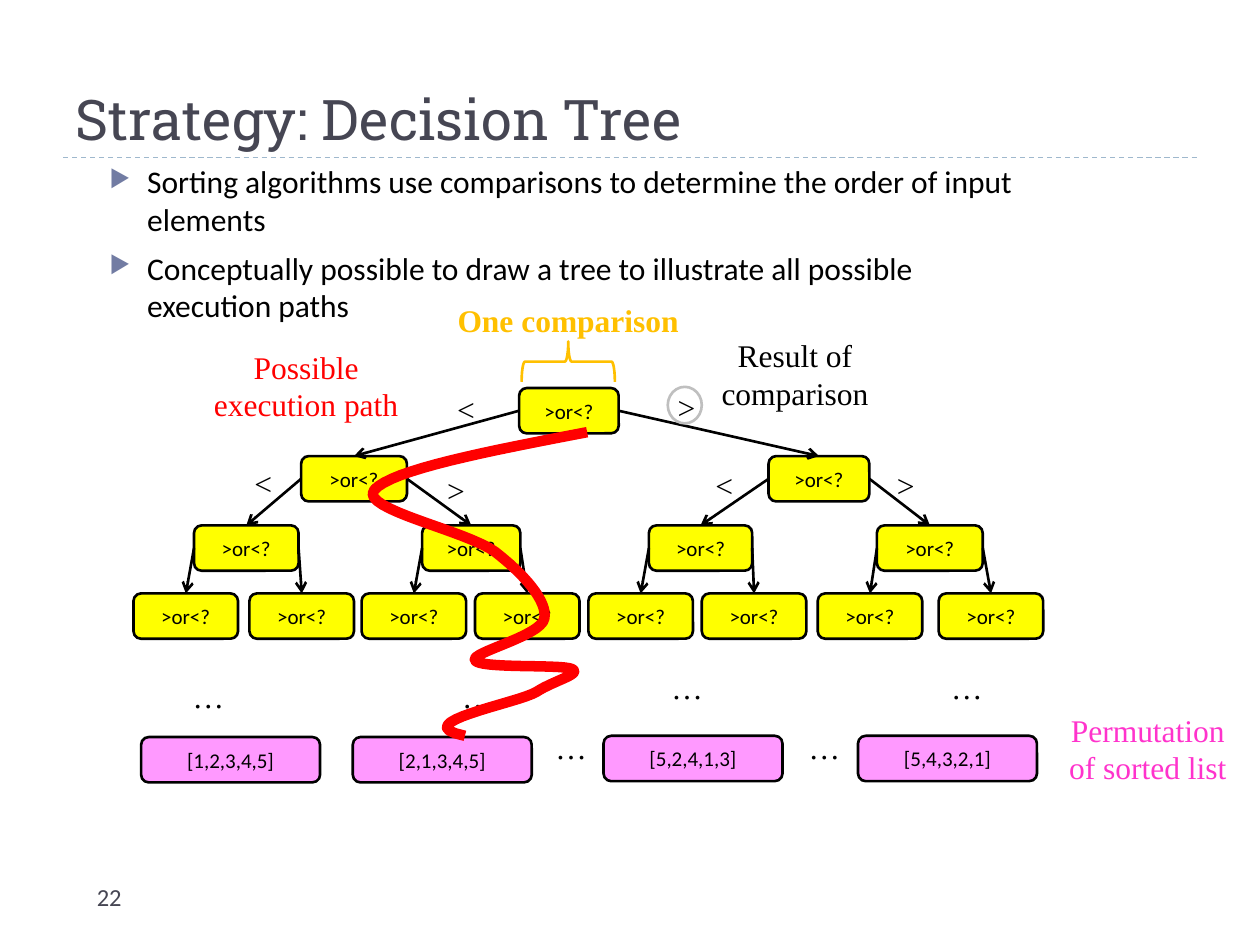
from lxml import etree
from pptx import Presentation
from pptx.dml.color import RGBColor
from pptx.enum.dml import MSO_LINE
from pptx.enum.shapes import MSO_CONNECTOR, MSO_SHAPE
from pptx.enum.text import MSO_ANCHOR, PP_ALIGN
from pptx.oxml.ns import qn
from pptx.util import Inches, Pt

BLACK = RGBColor(0x00, 0x00, 0x00)
SLATE = RGBColor(0x46, 0x46, 0x53)
RULE_BLUE = RGBColor(0x9F, 0xB8, 0xCD)
BULLET_BLUE = RGBColor(0x72, 0x7C, 0xA3)
YELLOW = RGBColor(0xFF, 0xFF, 0x00)
PINK = RGBColor(0xFF, 0x99, 0xFF)
MAGENTA = RGBColor(0xFF, 0x33, 0xCC)
AMBER = RGBColor(0xFF, 0xC0, 0x00)
GRAY = RGBColor(0xBF, 0xBF, 0xBF)
RED = RGBColor(0xFF, 0x00, 0x00)

SANS, SLAB, SERIF = "Calibri", "Roboto Slab", "Times New Roman"
STRAIGHT = MSO_CONNECTOR.STRAIGHT
ROUNDED = MSO_SHAPE.ROUNDED_RECTANGLE
BRACE, OVAL = MSO_SHAPE.RIGHT_BRACE, MSO_SHAPE.OVAL
LEFT, CENTER = PP_ALIGN.LEFT, PP_ALIGN.CENTER
TOP, MIDDLE, BOTTOM = MSO_ANCHOR.TOP, MSO_ANCHOR.MIDDLE, MSO_ANCHOR.BOTTOM
DASH = MSO_LINE.DASH
SIDE_TOP, SIDE_LEFT, SIDE_RIGHT = 0, 1, 3

NODE_HEIGHT = 0.36
# Each level of the tree: top, then left and width of every node
TREE_LEVELS = [
    (0, [(3.06, 0.79)]),
    (0.54, [(1.33, 0.84), (5.04, 0.8)]),
    (1.09, [(0.48, 0.83), (2.29, 0.78), (4.09, 0.82), (5.9, 0.84)]),
    (1.63, [(left, 0.83) for left in (0, 0.92, 1.81, 2.71, 3.61, 4.51, 5.43, 6.39)]),
]
RESULTS = [(0.06, 2.77, "[1,2,3,4,5]"), (1.74, 2.77, "[2,1,3,4,5]"),
           (3.73, 2.76, "[5,2,4,1,3]"), (5.75, 2.76, "[5,4,3,2,1]")]
ELLIPSES = [(3.25, 2.65), (5.26, 2.65), (0.37, 2.24), (2.51, 2.24),
            (4.17, 2.17), (6.39, 2.17)]
BRANCH_SIGNS = [(2.39, 0.61, ">"), (2.47, -0.03, "<"), (0.86, 0.55, "<"),
                (4.22, -0.05, ">"), (4.52, 0.57, "<"), (5.96, 0.57, ">")]
# Start point, then two control points and an end point per curve
PATH_START = (1.7, 0)
PATH_CURVES = [
    ((0.92, 0.15), (0.14, 0.3), (0.01, 0.46)),
    ((-0.11, 0.61), (0.74, 0.78), (0.97, 0.95)),
    ((1.19, 1.12), (1.39, 1.34), (1.36, 1.48)),
    ((1.33, 1.62), (0.77, 1.75), (0.81, 1.81)),
    ((0.84, 1.88), (1.5, 1.84), (1.58, 1.88)),
    ((1.66, 1.92), (1.44, 1.97), (1.3, 2.06)),
    ((1.16, 2.15), (0.24, 2.31), (0.73, 2.41)),
]
CURVE_STEPS = 16


def set_font(paragraph, name, size, color, bold=False):
    paragraph.font.name = name
    paragraph.font.size = Pt(size)
    paragraph.font.color.rgb = color
    paragraph.font.bold = bold


def add_text(slide, box, text, name=SERIF, size=18, color=BLACK,
             align=LEFT, anchor=TOP, bold=False):
    frame = slide.shapes.add_textbox(*map(Inches, box)).text_frame
    frame.word_wrap = True
    frame.vertical_anchor = anchor
    paragraph = frame.paragraphs[0]
    paragraph.text = text
    paragraph.alignment = align
    set_font(paragraph, name, size, color, bold)


def add_node(slide, box, text, fill):
    shape = slide.shapes.add_shape(ROUNDED, *map(Inches, box))
    shape.shadow.inherit = False
    shape.fill.solid()
    shape.fill.fore_color.rgb = fill
    shape.line.color.rgb = BLACK
    shape.line.width = Pt(1.5)
    shape.text_frame.vertical_anchor = MIDDLE
    paragraph = shape.text_frame.paragraphs[0]
    paragraph.text = text
    paragraph.alignment = CENTER
    set_font(paragraph, SANS, 12, BLACK)
    return shape


def add_outline(slide, kind, box, color):
    shape = slide.shapes.add_shape(kind, *map(Inches, box))
    shape.shadow.inherit = False
    shape.fill.background()
    shape.line.color.rgb = color
    shape.line.width = Pt(1.5)
    return shape


def add_line(slide, start, end, color, width):
    connector = slide.shapes.add_connector(STRAIGHT, *map(Inches, start + end))
    connector.line.color.rgb = color
    connector.line.width = Pt(width)
    etree.SubElement(connector._element.spPr, qn("a:effectLst"))
    return connector


def add_branch(slide, parent, side, child):
    connector = add_line(slide, (0, 0), (0, 0), BLACK, 1.5)
    connector.begin_connect(parent, side)
    connector.end_connect(child, SIDE_TOP)
    etree.SubElement(connector.line._get_or_add_ln(), qn("a:tailEnd"), type="arrow")


def add_heading(slide, left, top, width, height):
    bottom = top + height
    add_line(slide, (left, bottom), (left + width, bottom),
             RULE_BLUE, 0.75).line.dash_style = DASH
    add_text(slide, (left, top, width, height), "Strategy: Decision Tree",
             SLAB, 32, SLATE, anchor=BOTTOM)


def add_bullets(slide, box, texts):
    frame = slide.shapes.add_textbox(*map(Inches, box)).text_frame
    frame.word_wrap = True
    for index, text in enumerate(texts):
        paragraph = frame.add_paragraph() if index else frame.paragraphs[0]
        paragraph.text = text
        properties = paragraph._p.get_or_add_pPr()
        properties.set("marL", str(Inches(0.3)))
        properties.set("indent", str(-Inches(0.3)))
        color = etree.SubElement(properties, qn("a:buClr"))
        etree.SubElement(color, qn("a:srgbClr"), val=str(BULLET_BLUE))
        etree.SubElement(properties, qn("a:buSzPct"), val="76000")
        etree.SubElement(properties, qn("a:buChar"), char="▶")
        paragraph.space_before = Pt(6 if index else 0)
        set_font(paragraph, SANS, 18, BLACK)


def add_tree(slide, left, top):
    # Comparison nodes, joined level by level
    parents = []
    for level_top, nodes in TREE_LEVELS:
        level = [add_node(slide, (left + x, top + level_top, width, NODE_HEIGHT),
                          ">or<?", YELLOW) for x, width in nodes]
        for index, parent in enumerate(parents):
            add_branch(slide, parent, SIDE_LEFT, level[2 * index])
            add_branch(slide, parent, SIDE_RIGHT, level[2 * index + 1])
        parents = level
    # Sorted results and the levels left out
    for x, y, text in RESULTS:
        add_node(slide, (left + x, top + y, 1.42, NODE_HEIGHT), text, PINK)
    for x, y in ELLIPSES:
        add_text(slide, (left + x, top + y, 0.62, 0.55), "…")
    for x, y, sign in BRANCH_SIGNS:
        add_text(slide, (left + x, top + y, 0.44, 0.4), sign)


def add_execution_path(slide, left, top):
    points, start = [], PATH_START
    for first, second, end in PATH_CURVES:
        for step in range(1, CURVE_STEPS + 1):
            t = step / CURVE_STEPS
            u = 1 - t
            points.append(tuple(
                u**3 * a + 3 * u * u * t * b + 3 * u * t * t * c + t**3 * d
                for a, b, c, d in zip(start, first, second, end)))
        start = end
    builder = slide.shapes.build_freeform(Inches(left + PATH_START[0]),
                                          Inches(top + PATH_START[1]))
    builder.add_line_segments([(Inches(left + x), Inches(top + y)) for x, y in points],
                              close=False)
    shape = builder.convert_to_shape()
    shape.shadow.inherit = False
    shape.fill.background()
    shape.line.color.rgb = RED
    shape.line.width = Pt(6)


def add_annotations(slide, left, top):
    notes = [((1.95, 0, 2.1, 0.4), "One comparison", AMBER, True),
             ((3.92, 0.28, 1.76, 0.71), "Result of comparison", BLACK, False),
             ((6.77, 3.25, 1.66, 0.71), "Permutation of sorted list", MAGENTA, False),
             ((0, 0.37, 1.84, 0.71), "Possible execution path", RED, False)]
    for (x, y, width, height), text, color, bold in notes:
        add_text(slide, (left + x, top + y, width, height), text,
                 color=color, align=CENTER, bold=bold)
    # Brace over the root and ring around one result
    add_outline(slide, BRACE, (left + 2.84, top + 0.16, 0.32, 0.74), AMBER).rotation = 270
    add_outline(slide, OVAL, (left + 3.79, top + 0.73, 0.27, 0.29), GRAY)


def main():
    presentation = Presentation()
    presentation.slide_width, presentation.slide_height = Inches(10), Inches(7.5)
    slide = presentation.slides.add_slide(presentation.slide_layouts[6])
    add_heading(slide, 0.5, 0.17, 9, 1.08)
    add_text(slide, (0.67, 6.95, 2.17, 0.4), "22", SANS, 14, SLATE)
    add_tree(slide, 1.06, 3.08)
    add_bullets(slide, (0.77, 1.24, 7.54, 1.29), [
        "Sorting algorithms use comparisons to determine the order of input elements",
        "Conceptually possible to draw a tree to illustrate all possible execution paths"])
    add_annotations(slide, 1.51, 2.34)
    add_execution_path(slide, 2.96, 3.43)
    presentation.save("out.pptx")


if __name__ == "__main__":
    main()
